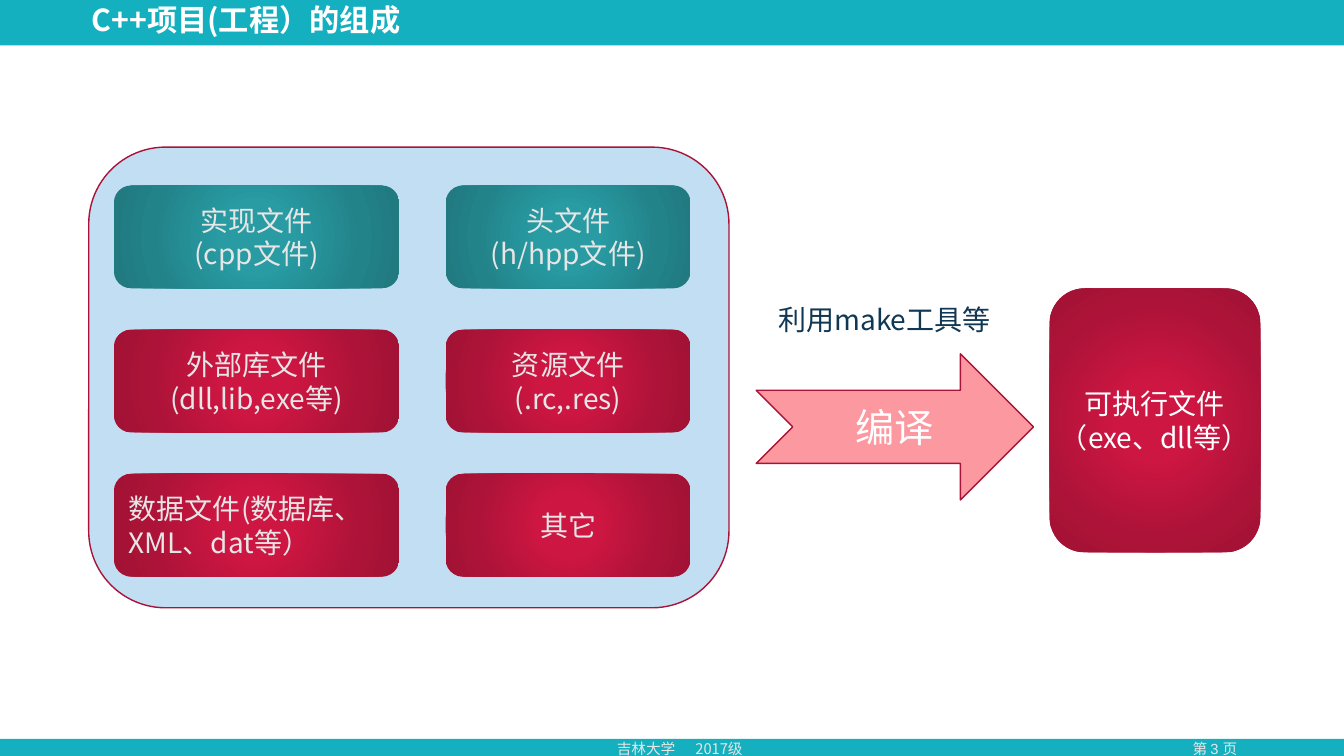
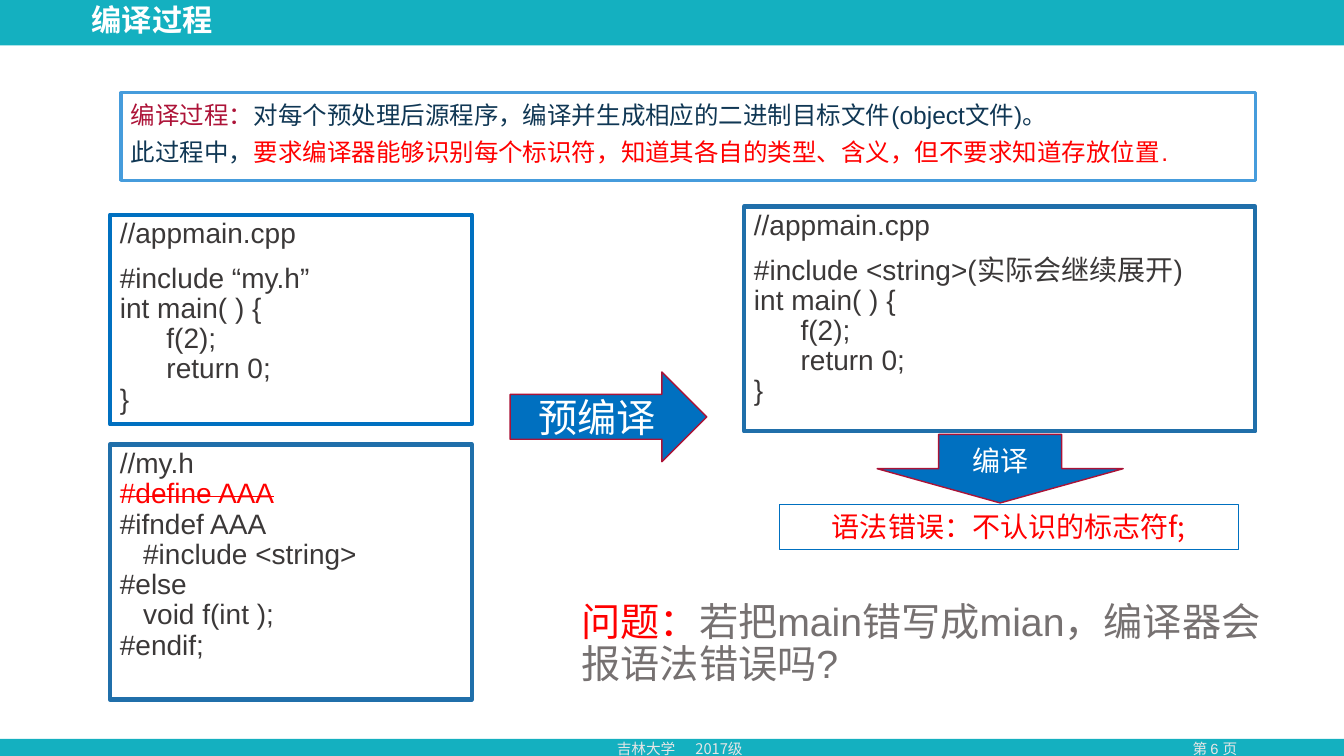
import dataclasses

import pptx
import pptx.dml.color
import pptx.enum.shapes
import pptx.enum.text
import pptx.oxml.ns
import pptx.util
from lxml import etree

Inches = pptx.util.Inches
Pt = pptx.util.Pt
SHAPE = pptx.enum.shapes.MSO_SHAPE
ALIGN = pptx.enum.text.PP_ALIGN
ANCHOR = pptx.enum.text.MSO_ANCHOR
qn = pptx.oxml.ns.qn


@dataclasses.dataclass(frozen=True)
class Theme:
    band: str = "14B0C0"
    white: str = "FFFFFF"
    pale: str = "E7E6E6"
    panel: str = "C1DEF3"
    crimson: str = "AA1337"
    accent: str = "AD1338"
    pink: str = "FB98A0"
    navy: str = "103754"
    blue: str = "0070C0"
    steel: str = "206FAA"
    sky: str = "469CDC"
    code: str = "3B3838"
    grey: str = "767171"
    red: str = "FF0000"
    red_glow: tuple = ((0, "CD1642"), (23, "CD1642"), (69, "AD1338"), (97, "A21234"))
    teal_glow: tuple = ((0, "289BA3"), (23, "289BA3"), (69, "228389"), (97, "207A80"))
    cjk: str = "Noto Sans CJK SC"
    latin: str = "Arial"
    footer_size: float = 10.5
    note_size: float = 17.5
    body_size: float = 20
    title_size: float = 21.6
    large_size: float = 28


THEME = Theme()


def rgb(value):
    return pptx.dml.color.RGBColor.from_string(value)


def apply_format(target, values):
    for name, value in values.items():
        setattr(target, name, value)


class Deck:
    def __init__(self, theme):
        self.theme = theme
        self.presentation = pptx.Presentation()
        self.presentation.slide_width = Inches(13.33)
        self.presentation.slide_height = Inches(7.5)
        self.slide = None

    def start_slide(self, title, page):
        theme = self.theme
        self.slide = self.presentation.slides.add_slide(self.presentation.slide_layouts[6])
        for top, height in ((0, 0.45), (7.33, 0.17)):
            self.shape(SHAPE.RECTANGLE, (0, top, 13.33, height), fill=theme.band)
        footer = dict(size=theme.footer_size, color=theme.pale)
        self.text((11.32, 7.29, 1.46, 0.28), [f"第 {page} 页"],
                  font=theme.latin, align=ALIGN.CENTER, **footer)
        self.text((6.02, 7.29, 1.84, 0.28), ["吉林大学\t2017级"], tab=0.78, **footer)
        self.text((0.81, 0, 9.5, 0.44), [title], size=theme.title_size, color=theme.white,
                  bold=True, anchor=ANCHOR.MIDDLE, line_spacing=0.9)

    def text(self, box, paragraphs, **style):
        text_box = self.slide.shapes.add_textbox(*map(Inches, box))
        self.set_text(text_box, paragraphs, **style)

    def shape(self, kind, box, fill=None, line=None, corner=None):
        shape = self.slide.shapes.add_shape(kind, *map(Inches, box))
        shape.shadow.inherit = False
        if corner is not None:
            shape.adjustments[0] = corner
        if fill is None:
            shape.fill.background()
        elif isinstance(fill, str):
            shape.fill.solid()
            shape.fill.fore_color.rgb = rgb(fill)
        else:
            self.fill_radial(shape, fill)
        if line is None:
            shape.line.fill.background()
        else:
            color, width = line
            shape.line.color.rgb = rgb(color)
            shape.line.width = Pt(width)
        return shape

    def fill_radial(self, shape, stops):
        shape.fill.gradient()
        gradient = shape._element.spPr.find(qn("a:gradFill"))
        gradient.clear()
        stop_list = etree.SubElement(gradient, qn("a:gsLst"))
        for position, color in stops:
            stop = etree.SubElement(stop_list, qn("a:gs"), pos=str(position * 1000))
            etree.SubElement(stop, qn("a:srgbClr"), val=color)
        circle = etree.SubElement(gradient, qn("a:path"), {"path": "circle"})
        etree.SubElement(circle, qn("a:fillToRect"), dict.fromkeys("ltrb", "50000"))

    def card(self, box, text, glow, color=THEME.pale, align=ALIGN.CENTER):
        card = self.shape(SHAPE.ROUNDED_RECTANGLE, box, fill=glow, corner=0.167)
        self.set_text(card, [text], color=color, align=align, anchor=ANCHOR.MIDDLE, wrap=False)

    def arrow(self, kind, box, text, fill, size):
        arrow = self.shape(kind, box, fill=fill, line=(self.theme.crimson, 1))
        self.set_text(arrow, [text], size=size, color=self.theme.white,
                      align=ALIGN.CENTER, anchor=ANCHOR.MIDDLE)

    def frame(self, box, line, paragraphs, **style):
        self.set_text(self.shape(SHAPE.RECTANGLE, box, line=line), paragraphs, **style)

    def code(self, box, line_color, paragraphs):
        self.frame(box, (line_color, 3), paragraphs, font=self.theme.latin,
                   color=self.theme.code, line_spacing=0.9, gap=10)

    def set_text(self, shape, paragraphs, size=THEME.body_size, color=THEME.navy,
                 font=THEME.cjk, bold=False, align=ALIGN.LEFT, anchor=ANCHOR.TOP,
                 wrap=True, line_spacing=None, gap=0, tab=None):
        """Fill a shape with paragraphs, each a string or a list of (text, color, struck)."""
        frame = shape.text_frame
        apply_format(frame, dict(word_wrap=wrap, vertical_anchor=anchor))
        for index, content in enumerate(paragraphs):
            paragraph = frame.add_paragraph() if index else frame.paragraphs[0]
            if tab:
                tabs = etree.SubElement(paragraph._p.get_or_add_pPr(), qn("a:tabLst"))
                etree.SubElement(tabs, qn("a:tab"), pos=str(int(Inches(tab))), algn="l")
            layout = dict(alignment=align, line_spacing=line_spacing)
            if index:
                layout["space_before"] = Pt(gap)
            apply_format(paragraph, layout)
            runs = [(content, color, False)] if isinstance(content, str) else content
            for text, run_color, struck in runs:
                for line_index, line in enumerate(text.split("\n")):
                    if line_index:
                        paragraph.add_line_break()
                    if line:
                        self.add_run(paragraph, line, run_color, struck,
                                     dict(name=font, size=Pt(size), bold=bold))

    def add_run(self, paragraph, text, color, struck, values):
        run = paragraph.add_run()
        run.text = text
        apply_format(run.font, values)
        run.font.color.rgb = rgb(color)
        properties = run._r.get_or_add_rPr()
        etree.SubElement(properties, qn("a:ea"), typeface=self.theme.cjk)
        if struck:
            properties.set("strike", "sngStrike")


def build_project_parts(deck):
    theme = deck.theme
    deck.start_slide("C++项目(工程）的组成", 3)
    deck.shape(SHAPE.ROUNDED_RECTANGLE, (0.88, 1.46, 6.35, 4.57),
               fill=theme.panel, line=(theme.crimson, 1))
    columns = ((1.13, 2.83), (4.42, 2.43))
    first_top, row_pitch, card_height = 1.84, 1.43, 1.02
    rows = (
        (theme.teal_glow, "实现文件\n(cpp文件)", "头文件\n(h/hpp文件)"),
        (theme.red_glow, "外部库文件\n(dll,lib,exe等)", "资源文件\n(.rc,.res)"),
        (theme.red_glow, "数据文件(数据库、\nXML、dat等）", "其它"),
    )
    for row, (glow, *labels) in enumerate(rows):
        for (left, width), label in zip(columns, labels):
            align = ALIGN.LEFT if label.startswith("数据") else ALIGN.CENTER
            deck.card((left, first_top + row * row_pitch, width, card_height),
                      label, glow, align=align)
    deck.arrow(SHAPE.NOTCHED_RIGHT_ARROW, (7.5, 3.51, 2.75, 1.45), "编译",
               theme.pink, theme.large_size)
    deck.text((7.62, 2.95, 2.67, 0.44), ["利用make工具等"])
    deck.card((10.41, 2.86, 2.09, 2.62), "可执行文件\n（exe、dll等）",
              theme.red_glow, color=theme.white)


def build_compile_process(deck):
    theme = deck.theme
    deck.start_slide("编译过程", 6)
    deck.frame((1.2, 0.92, 11.25, 0.87), (theme.sky, 2.25), [
        [("编译过程：", theme.accent, False),
         ("对每个预处理后源程序，编译并生成相应的二进制目标文件(object文件)。",
          theme.navy, False)],
        [("此过程中，", theme.navy, False),
         ("要求编译器能够识别每个标识符，知道其各自的类型、含义，但不要求知道存放位置.",
          theme.red, False)],
    ], size=theme.note_size, font=theme.latin, anchor=ANCHOR.MIDDLE,
        line_spacing=0.7, gap=12)

    main_body = "\nint main( ) {\n      f(2);\n      return 0;\n}"
    deck.code((1.09, 2.13, 3.59, 2.08), theme.blue,
              ["//appmain.cpp", "#include “my.h”" + main_body])
    deck.code((1.09, 4.41, 3.59, 2.53), theme.steel, [[
        ("//my.h\n", theme.code, False),
        ("#define AAA", theme.red, True),
        ("\n#ifndef AAA\n   #include <string>\n#else\n   void f(int );\n#endif;",
         theme.code, False),
    ]])
    deck.code((7.38, 2.05, 5.07, 2.23), theme.steel,
              ["//appmain.cpp", "#include <string>(实际会继续展开)" + main_body])

    deck.arrow(SHAPE.RIGHT_ARROW, (5.06, 3.69, 1.95, 0.89), "预编译",
               theme.blue, theme.large_size)
    deck.arrow(SHAPE.DOWN_ARROW, (8.7, 4.31, 2.44, 0.68), "编译",
               theme.blue, theme.body_size)
    deck.frame((7.73, 5.01, 4.55, 0.44), (theme.blue, 0.75),
               ["语法错误：不认识的标志符f;"], color=theme.red, align=ALIGN.CENTER)
    deck.text((5.67, 5.93, 7.2, 0.9), [[
        ("问题：", theme.red, False),
        ("若把main错写成mian，编译器会报语法错误吗?", theme.grey, False),
    ]], size=theme.large_size, font=theme.latin, line_spacing=0.9)


def main():
    deck = Deck(THEME)
    build_project_parts(deck)
    build_compile_process(deck)
    deck.presentation.save("out.pptx")


if __name__ == "__main__":
    main()
